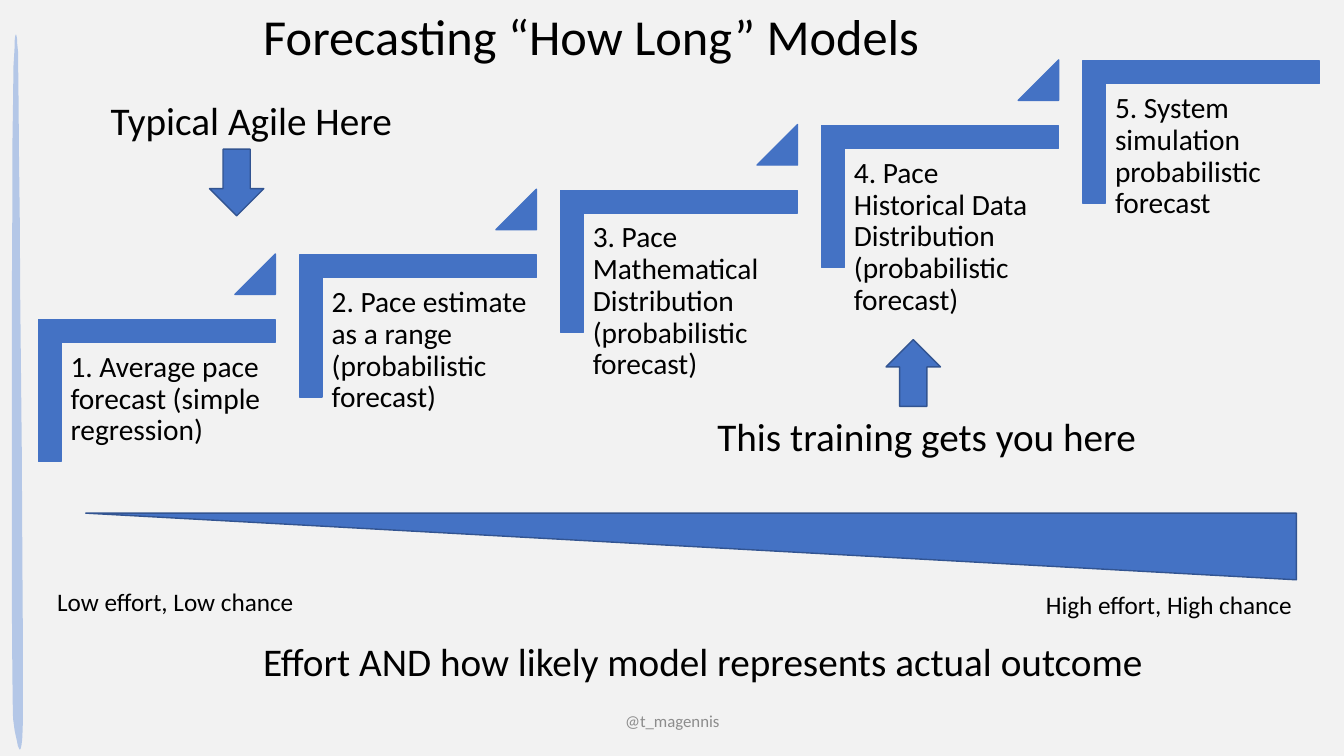
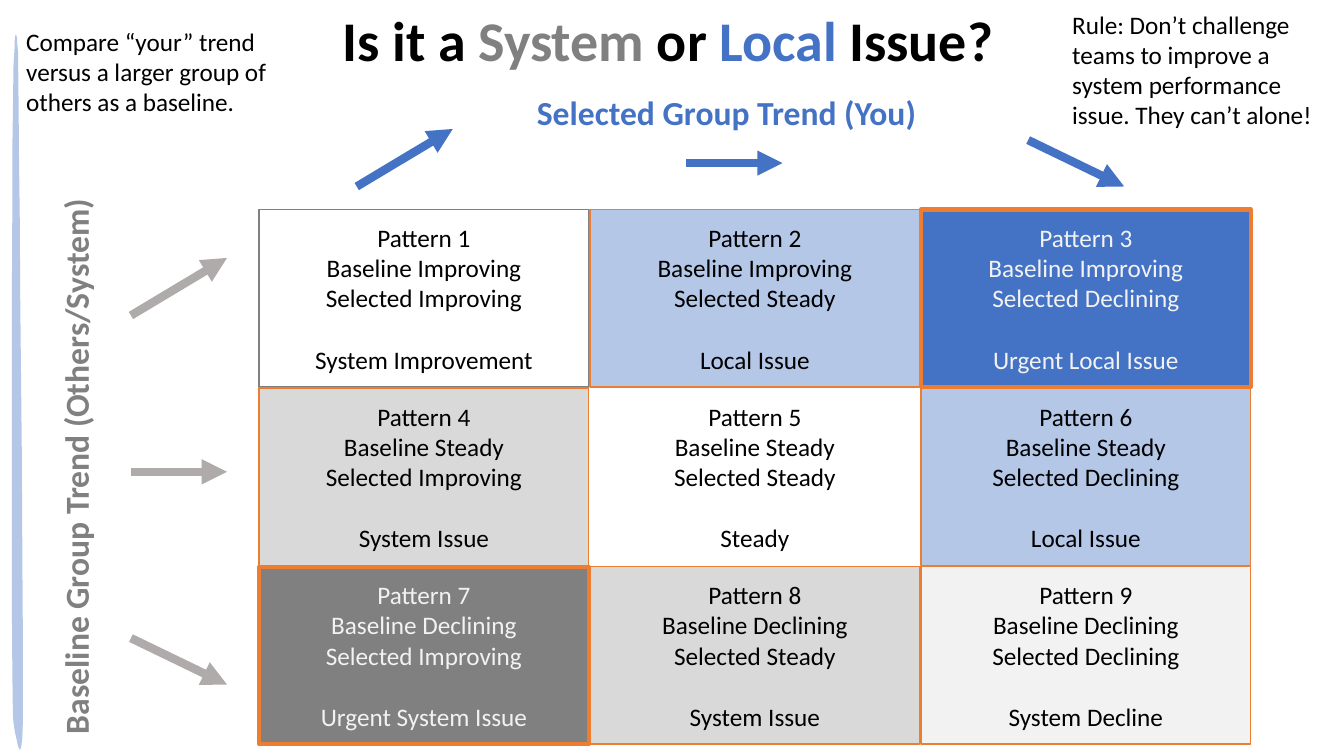
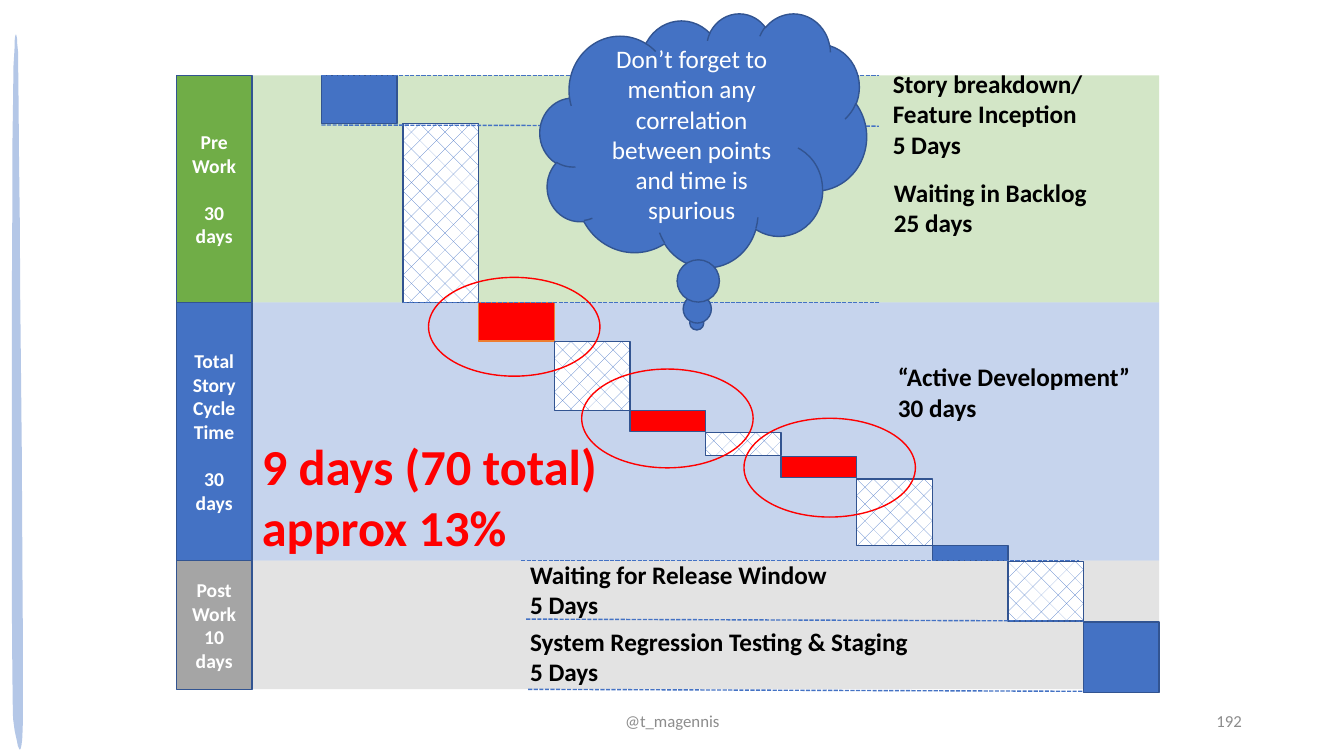
import pptx
import pptx.dml.color
import pptx.enum.dml
import pptx.enum.shapes
import pptx.enum.text
import pptx.oxml.ns
import pptx.shapes.connector
import pptx.util
from lxml import etree

BLUE, DARK_BLUE, PALE_BLUE = "4472C4", "325491", "B4C7E7"
ORANGE, RED, GREEN = "ED7D31", "FF0000", "70AD47"
BLACK, WHITE, OFF_WHITE = "000000", "FFFFFF", "F2F2F2"
GREY, LIGHT_GREY, ARROW_GREY = "808080", "D9D9D9", "AFABAB"
BAND_GREY, FOOTER_GREY = "A5A5A5", "8C8C8C"
SHAPE = pptx.enum.shapes.MSO_SHAPE
STRAIGHT = pptx.enum.shapes.MSO_CONNECTOR.STRAIGHT
ALIGN = pptx.enum.text.PP_ALIGN
ANCHOR = pptx.enum.text.MSO_ANCHOR
CENTERED = {"align": ALIGN.CENTER, "anchor": ANCHOR.MIDDLE}


def paint(shape, fill=None, line=None, width=1, opacity=None, brick=False, dashed=False, arrow=False):
    """Set fill, outline and absence of shadow on a shape or connector."""
    rgb = pptx.dml.color.RGBColor.from_string
    properties = shape.element.spPr
    connector = isinstance(shape, pptx.shapes.connector.Connector)
    if not connector:
        shape.shadow.inherit = False
        if brick:
            shape.fill.patterned()
            shape.fill.pattern = pptx.enum.dml.MSO_PATTERN.DIAGONAL_BRICK
            shape.fill.fore_color.rgb = rgb(fill)
            shape.fill.back_color.rgb = rgb(WHITE)
        elif fill:
            shape.fill.solid()
            shape.fill.fore_color.rgb = rgb(fill)
        else:
            shape.fill.background()
    if opacity:
        color = properties.find(".//" + pptx.oxml.ns.qn("a:srgbClr"))
        etree.SubElement(color, pptx.oxml.ns.qn("a:alpha"), val=str(opacity * 1000))
    if line:
        shape.line.color.rgb = rgb(line)
        shape.line.width = pptx.util.Pt(width)
    else:
        shape.line.fill.background()
    if dashed:
        shape.line.dash_style = pptx.enum.dml.MSO_LINE.SQUARE_DOT
    if arrow:
        outline = properties.find(pptx.oxml.ns.qn("a:ln"))
        etree.SubElement(outline, pptx.oxml.ns.qn("a:tailEnd"), type="triangle")
    if connector:
        etree.SubElement(properties, pptx.oxml.ns.qn("a:effectLst"))


def write(shape, text, size=18, color=BLACK, bold=False, align=ALIGN.LEFT, anchor=ANCHOR.TOP,
          wrap=True, spacing=None, last_gap=None, accents=None):
    """Fill a shape: newlines part paragraphs, bars part spans, accents colour spans."""
    frame = shape.text_frame
    frame.auto_size = pptx.enum.text.MSO_AUTO_SIZE.NONE
    frame.word_wrap = wrap
    frame.vertical_anchor = anchor
    for number, line in enumerate(text.split("\n")):
        para = frame.add_paragraph() if number else frame.paragraphs[0]
        para.alignment = align
        if spacing:
            para.line_spacing = spacing
        for part in line.split("|"):
            span = para.add_run()
            span.text = part
            span.font.name = "Calibri"
            span.font.size = pptx.util.Pt(size)
            span.font.bold = bold
            shade = (accents or {}).get(part, color)
            span.font.color.rgb = pptx.dml.color.RGBColor.from_string(shade)
    if last_gap:
        para.space_before = pptx.util.Pt(last_gap)


deck = pptx.Presentation()
deck.slide_width, deck.slide_height = pptx.util.Cm(33.87), pptx.util.Cm(19.05)
title_only, blank = deck.slide_layouts[5], deck.slide_layouts[6]
models_page = deck.slides.add_slide(title_only)
issue_page = deck.slides.add_slide(title_only)
timeline_page = deck.slides.add_slide(blank)
models_page.background.fill.solid()
models_page.background.fill.fore_color.rgb = pptx.dml.color.RGBColor.from_string(OFF_WHITE)

# Shared sliver on the left edge: Bezier curves in hundredths of a centimetre
start = (36, 135)
curves = [
    ((28, 135), (28, 1750), (33, 1811)),
    ((41, 1869), (56, 1953), (58, 1811)),
    ((61, 1669), (46, 183), (46, 135)),
    ((43, 94), (38, 51), (36, 135)),
]
outline_points, origin = [], start
for first, second, end in curves:
    for step in range(1, 13):
        t = step / 12
        outline_points.append(tuple(
            (1 - t) ** 3 * a + 3 * (1 - t) ** 2 * t * b + 3 * (1 - t) * t ** 2 * c + t ** 3 * d
            for a, b, c, d in zip(origin, first, second, end)))
    origin = end
builder = models_page.shapes.build_freeform(*start, scale=pptx.util.Cm(1) / 100)
builder.add_line_segments(outline_points, close=True)
sliver = builder.convert_to_shape()
paint(sliver, PALE_BLUE)
sliver.element.xpath("./p:nvSpPr/p:cNvPr")[0].set("id", "99")
deck.slide_master.shapes.element.append(sliver.element)

# Titles
for page, place, text, style in (
    (models_page, (6.38, 0, 17.22, 1.8), "Forecasting “How Long” Models", {"size": 36}),
    (issue_page, (8.38, 0, 17.09, 1.96), "Is it a |System| or |Local| Issue?",
     {"size": 40, "bold": True, "accents": {"System": GREY, "Local": BLUE}}),
):
    title = page.shapes.title
    title.left, title.top, title.width, title.height = map(pptx.util.Cm, place)
    write(title, text, wrap=False, **style)

# Footers
for page, left, width, text, align in (
    (models_page, 11.23, 11.43, "@t_magennis", ALIGN.CENTER),
    (timeline_page, 11.23, 11.43, "@t_magennis", ALIGN.CENTER),
    (timeline_page, 23.93, 7.62, "192", ALIGN.RIGHT),
):
    footer = page.shapes.add_textbox(*map(pptx.util.Cm, (left, 17.65, width, 1.02)))
    write(footer, text, size=12, color=FOOTER_GREY, align=align, anchor=ANCHOR.MIDDLE)

# Models: staircase
models = [
    "1. Average pace forecast (simple regression)",
    "2. Pace estimate as a range (probabilistic forecast)",
    "3. Pace Mathematical Distribution (probabilistic forecast)",
    "4. Pace Historical Data Distribution (probabilistic forecast)",
    "5. System simulation probabilistic forecast",
]
for number, model in enumerate(models):
    across, up = 6.58 * number, 1.63 * number
    corner = models_page.shapes.add_shape(
        SHAPE.CORNER, *map(pptx.util.Cm, (2.16 + across, 6.86 - up, 3.58, 5.97)))
    corner.rotation = 90
    corner.adjustments[0] = corner.adjustments[1] = 0.16
    paint(corner, BLUE, BLUE)
    box = models_page.shapes.add_textbox(
        *map(pptx.util.Cm, (1.55 + across, 8.64 - up, 5.38, 4.72)))
    frame = box.text_frame
    frame.margin_left = frame.margin_right = pptx.util.Cm(0.23)
    frame.margin_top = frame.margin_bottom = pptx.util.Cm(0.23)
    write(box, model, size=21, spacing=0.9)
    if number < len(models) - 1:
        riser = models_page.shapes.add_shape(
            SHAPE.ISOSCELES_TRIANGLE, *map(pptx.util.Cm, (5.92 + across, 6.4 - up, 1.02, 1.02)))
        riser.adjustments[0] = 1
        paint(riser, BLUE, BLUE)

# Models: effort wedge and pointers
for kind, place, rotation in (
    (SHAPE.RIGHT_TRIANGLE, (2.16, 12.93, 30.51, 1.68), 180),
    (SHAPE.DOWN_ARROW, (5.28, 3.76, 1.37, 1.68), 0),
    (SHAPE.DOWN_ARROW, (22.33, 8.56, 1.37, 1.68), 180),
):
    marker = models_page.shapes.add_shape(kind, *map(pptx.util.Cm, place))
    marker.rotation = rotation
    paint(marker, BLUE, DARK_BLUE)
for place, text, size in (
    ((6.38, 15.93, 22.94, 1.45), "Effort AND how likely model represents actual outcome", 28),
    ((2.54, 2.29, 7.67, 1.45), "Typical Agile Here", 28),
    ((17.83, 10.26, 11.18, 1.45), "This training gets you here", 28),
    ((1.19, 14.66, 6.55, 1.02), "Low effort, Low chance", 18),
    ((26.11, 14.73, 6.81, 1.02), "High effort, High chance", 18),
):
    caption = models_page.shapes.add_textbox(*map(pptx.util.Cm, place))
    write(caption, text, size=size, wrap=False)

# Issue: pattern grid
trends = ["Improving", "Steady", "Declining"]
patterns = [
    ("System Improvement", None, GREY, 1, BLACK),
    ("Local Issue", PALE_BLUE, ORANGE, 1, BLACK),
    ("Urgent Local Issue", BLUE, ORANGE, 3, OFF_WHITE),
    ("System Issue", LIGHT_GREY, ORANGE, 1, BLACK),
    ("Steady", WHITE, None, 1, BLACK),
    ("Local Issue", PALE_BLUE, ORANGE, 1, BLACK),
    ("Urgent System Issue", GREY, ORANGE, 3, OFF_WHITE),
    ("System Issue", LIGHT_GREY, ORANGE, 1, BLACK),
    ("System Decline", OFF_WHITE, ORANGE, 1, BLACK),
]
for number, (verdict, fill, line, width, color) in enumerate(patterns):
    row, column = divmod(number, 3)
    cell = issue_page.shapes.add_shape(
        SHAPE.RECTANGLE,
        *map(pptx.util.Cm, (6.53 + 8.34 * column, 5.28 + 4.5 * row, 8.31, 4.47)))
    paint(cell, fill, line, width)
    write(cell, f"Pattern {number + 1}\nBaseline {trends[row]}\nSelected {trends[column]}\n{verdict}",
          color=color, last_gap=22, **CENTERED)

# Issue: trend arrows, rising, level and falling along each side
for color, starts in (
    (ARROW_GREY, [(3.3, 7.95), (3.3, 11.89), (3.3, 16.08)]),
    (BLUE, [(8.99, 4.7), (17.3, 4.11), (25.91, 3.53)]),
):
    for (left, top), drop in zip(starts, (-1.45, 0, 1.17)):
        arrow = issue_page.shapes.add_connector(
            STRAIGHT, *map(pptx.util.Cm, (left, top, left + 2.42, top + drop)))
        paint(arrow, line=color, width=6, arrow=True)

for place, rotation, text, style in (
    ((13.28, 2.18, 10.46, 1.27), 0, "Selected Group Trend (You)",
     {"size": 24, "color": BLUE, "bold": True}),
    ((-5.41, 10.8, 14.63, 1.27), 270, "Baseline Group Trend (Others/System)",
     {"size": 24, "color": GREY, "bold": True}),
    ((0.41, 0.53, 6.71, 2.57), 0,
     "Compare “your” trend versus a larger group of others as a baseline.", {}),
    ((26.77, 0.1, 6.71, 3.33), 0,
     "Rule: Don’t challenge teams to improve a system performance issue. They can’t alone!", {}),
):
    note = issue_page.shapes.add_textbox(*map(pptx.util.Cm, place))
    note.rotation = rotation
    write(note, text, **style)

# Timeline: phase bands with their labels
band_left, band_width = 6.35, 22.86
stage_width = band_width / 12
for top, height, color, text, gap in (
    (1.9, 5.72, GREEN, "Pre Work\n30 days", 17),
    (7.62, 6.51, BLUE, "Total Story Cycle Time\n30 days", 17),
    (14.13, 3.24, BAND_GREY, "Post Work 10 days", None),
):
    band = timeline_page.shapes.add_shape(
        SHAPE.RECTANGLE, *map(pptx.util.Cm, (band_left, top, band_width, height)))
    paint(band, color, opacity=30)
    label = timeline_page.shapes.add_shape(
        SHAPE.RECTANGLE, *map(pptx.util.Cm, (band_left - stage_width, top, stage_width, height)))
    paint(label, color, DARK_BLUE)
    write(label, text, size=14, color=WHITE, bold=True, last_gap=gap, **CENTERED)

# Timeline: stages
work = {"fill": BLUE, "line": DARK_BLUE}
wait = {"fill": BLUE, "line": DARK_BLUE, "brick": True}
active = {"fill": RED, "line": DARK_BLUE}
stages = [
    (1.9, 1.22, work), (3.12, 4.5, wait), (7.62, 0.97, {"fill": RED, "line": ORANGE}),
    (8.61, 1.73, wait), (10.34, 0.53, active), (10.9, 0.58, wait), (11.51, 0.53, active),
    (12.07, 1.68, wait), (13.74, 0.38, work), (14.15, 1.5, wait), (15.67, 1.78, work),
]
stage_lefts = [8.1] + [10.16 + stage_width * number for number in range(10)]
for left, (top, height, style) in zip(stage_lefts, stages):
    stage = timeline_page.shapes.add_shape(
        SHAPE.RECTANGLE, *map(pptx.util.Cm, (left, top, stage_width, height)))
    paint(stage, **style)

for ends in (
    (8.1, 1.9, 22.15, 1.9), (8.1, 3.15, 22.15, 3.18), (10.16, 7.62, 22.15, 7.62),
    (13.13, 14.12, 27.18, 14.12), (13.26, 15.6, 27.3, 15.65), (13.31, 17.37, 27.36, 17.42),
):
    guide = timeline_page.shapes.add_connector(STRAIGHT, *map(pptx.util.Cm, ends))
    paint(guide, line=BLUE, dashed=True)

for place, text, style in (
    ((22.25, 1.6, 5.49, 2.57), "Story breakdown/\nFeature Inception\n5 Days", {}),
    ((22.28, 4.34, 5.41, 1.8), "Waiting in Backlog\n25 days", {}),
    ((22.38, 8.99, 6.43, 1.8), "“Active Development”\n30 days", {}),
    ((13.11, 13.97, 8.05, 1.8), "Waiting for Release Window\n5 Days", {}),
    ((13.11, 15.65, 10.59, 1.8), "System Regression Testing & Staging\n5 Days", {}),
    ((6.35, 10.85, 9.73, 3.33), "9 days (70 total)\napprox 13%", {"size": 36, "color": RED}),
):
    remark = timeline_page.shapes.add_textbox(*map(pptx.util.Cm, place))
    write(remark, text, bold=True, wrap=False, **style)

for left, top in ((10.8, 6.99), (14.66, 9.3), (18.75, 10.54)):
    ring = timeline_page.shapes.add_shape(
        SHAPE.OVAL, *map(pptx.util.Cm, (left, top, 4.32, 2.49)))
    paint(ring, line=RED)

cloud = timeline_page.shapes.add_shape(
    SHAPE.CLOUD_CALLOUT, *map(pptx.util.Cm, (13.61, 0.33, 8.23, 6.4)))
cloud.adjustments[0], cloud.adjustments[1] = -0.02, 0.72
paint(cloud, BLUE, DARK_BLUE)
write(cloud, "Don’t forget to mention any correlation between points and time is spurious",
      color=WHITE, **CENTERED)

deck.save("out.pptx")
